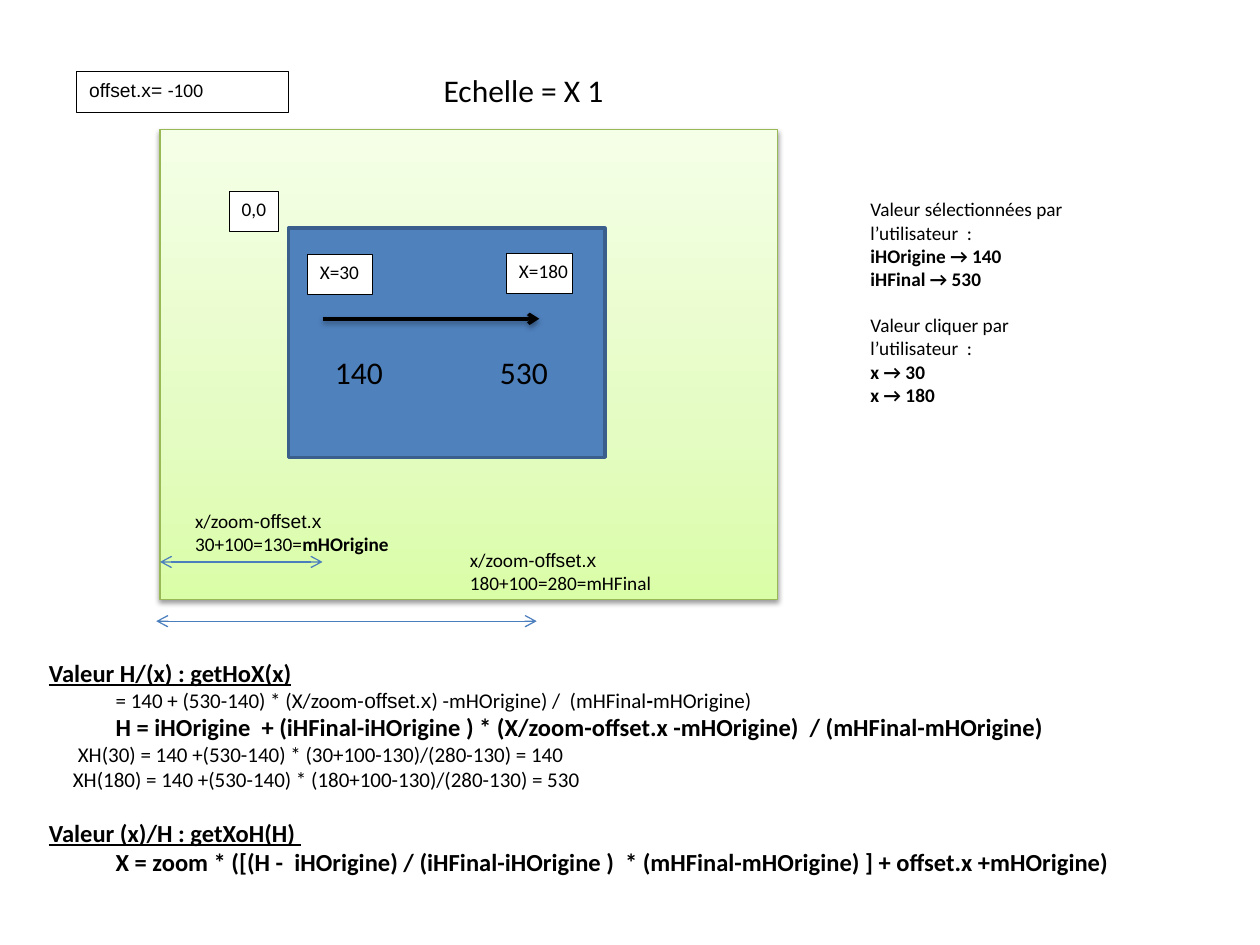
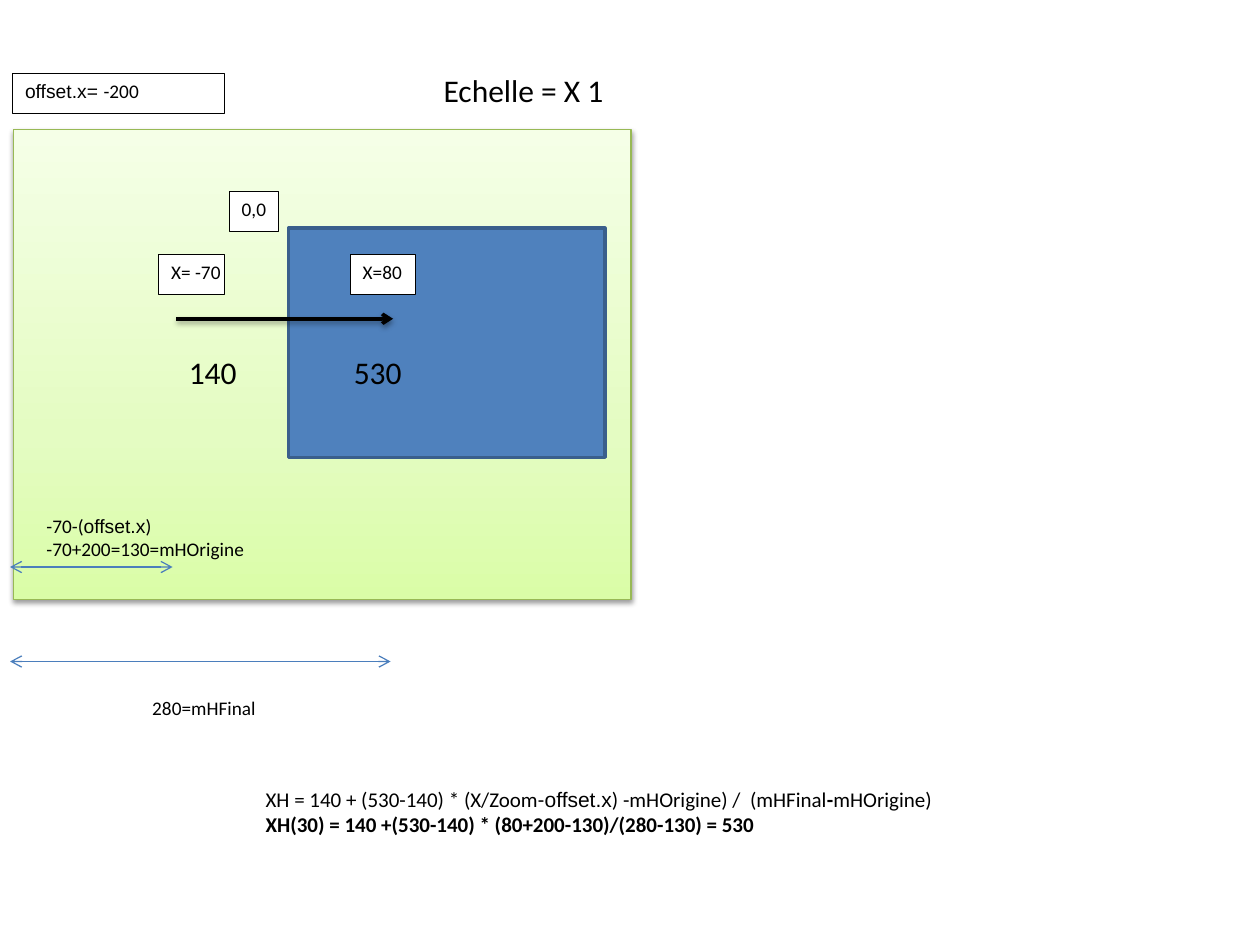
from copy import deepcopy
from dataclasses import dataclass

from lxml.etree import SubElement
from pptx import Presentation
from pptx.dml.color import RGBColor
from pptx.enum.shapes import MSO_CONNECTOR, MSO_SHAPE
from pptx.enum.text import MSO_ANCHOR, MSO_AUTO_SIZE, PP_ALIGN
from pptx.oxml.ns import qn
from pptx.util import Inches, Pt


@dataclass(frozen=True)
class Theme:
    black: str = "000000"
    white: str = "FFFFFF"
    blue: str = "4F81BD"
    blue_edge: str = "3A5F8C"
    measure: str = "4B7EBC"
    green_edge: str = "98B955"
    greens: tuple = ((0, "DAFDA7"), (0.35, "E4FCC2"), (1, "F5FFE7"))
    font: str = "Calibri"
    code_font: str = "Arial"
    title: int = 18
    heading: int = 14
    formula: int = 12
    label: int = 11


THEME = Theme()


@dataclass(frozen=True)
class Line:
    pieces: tuple
    size: int = 0
    bold: bool = False
    underline: bool = False
    indent: float = 0
    before: float = 0


def code(text):
    return text, {"font": THEME.code_font}


def strong(text):
    return text, {"bold": True}


def write_text(frame, lines, size=THEME.label, font=THEME.font, color=THEME.black, wrap=True):
    frame.word_wrap = wrap
    frame.vertical_anchor = MSO_ANCHOR.TOP
    for index, line in enumerate(lines):
        paragraph = frame.add_paragraph() if index else frame.paragraphs[0]
        paragraph.alignment = PP_ALIGN.LEFT
        if line.before:
            paragraph.space_before = Pt(line.before)
        if line.indent:
            paragraph._p.get_or_add_pPr().set("marL", str(Inches(line.indent)))
        for piece in line.pieces:
            text, changes = (piece, {}) if isinstance(piece, str) else piece
            run = paragraph.add_run()
            run.text = text
            run.font.size = Pt(line.size or size)
            run.font.name = changes.get("font", font)
            run.font.bold = changes.get("bold", line.bold)
            run.font.underline = line.underline
            run.font.color.rgb = RGBColor.from_string(color)


def set_effects(shape, shadow):
    effects = SubElement(shape._element.spPr, qn("a:effectLst"))
    if shadow:
        outer = SubElement(effects, qn("a:outerShdw"), blurRad=str(Pt(3.1)),
                           dist=str(Pt(1.6)), dir="5400000", rotWithShape="0")
        color = SubElement(outer, qn("a:srgbClr"), val=THEME.black)
        SubElement(color, qn("a:alpha"), val="38000")


class Diagram:
    def __init__(self, presentation, theme):
        self.presentation = presentation
        self.theme = theme
        self.slide = None

    def start_slide(self, title):
        self.slide = self.presentation.slides.add_slide(self.presentation.slide_layouts[5])
        shape = self.slide.shapes.title
        shape.left, shape.top = Inches(3.42), Inches(0.51)
        shape.width, shape.height = Inches(2.34), Inches(0.4)
        shape.text_frame.auto_size = MSO_AUTO_SIZE.NONE
        write_text(shape.text_frame, [Line((title,))], size=self.theme.title)

    def add_rectangle(self, left, top, width, height, fill, edge, weight, shadow=False):
        shape = self.slide.shapes.add_shape(
            MSO_SHAPE.RECTANGLE, Inches(left), Inches(top), Inches(width), Inches(height))
        if isinstance(fill, str):
            shape.fill.solid()
            shape.fill.fore_color.rgb = RGBColor.from_string(fill)
        else:
            shape.fill.gradient()
            shape.fill.gradient_angle = 90
            stops = shape._element.spPr.find(qn("a:gradFill")).find(qn("a:gsLst"))
            stops.append(deepcopy(stops[0]))
            for stop, (position, color) in zip(shape.fill.gradient_stops, fill):
                stop.position = position
                stop.color.rgb = RGBColor.from_string(color)
        shape.line.color.rgb = RGBColor.from_string(edge)
        shape.line.width = Pt(weight)
        set_effects(shape, shadow)
        return shape

    def add_label(self, left, top, *pieces, width=0.52):
        shape = self.add_rectangle(left, top, width, 0.32, self.theme.white, self.theme.black, 0.5)
        write_text(shape.text_frame, [Line(pieces)], wrap=False)

    def add_text(self, left, top, width, height, *lines, size=THEME.label):
        shape = self.slide.shapes.add_textbox(
            Inches(left), Inches(top), Inches(width), Inches(height))
        shape.text_frame.auto_size = MSO_AUTO_SIZE.SHAPE_TO_FIT_TEXT
        write_text(shape.text_frame, lines, size=size)

    def add_arrow(self, left, top, length, color, weight, ends=("tailEnd",), shadow=False):
        connector = self.slide.shapes.add_connector(
            MSO_CONNECTOR.STRAIGHT, Inches(left), Inches(top), Inches(left + length), Inches(top))
        connector.line.color.rgb = RGBColor.from_string(color)
        connector.line.width = Pt(weight)
        for end in ends:
            SubElement(connector.line._get_or_add_ln(), qn(f"a:{end}"), type="arrow")
        set_effects(connector, shadow)

    def add_measure(self, left, top, length):
        self.add_arrow(left, top, length, self.theme.measure, 0.75, ("headEnd", "tailEnd"))

    def add_scene(self, left):
        theme = self.theme
        self.add_rectangle(left, 1.03, 4.9, 3.73, theme.greens, theme.green_edge, 0.75, shadow=True)
        self.add_rectangle(2.29, 1.81, 2.51, 1.82, theme.blue, theme.blue_edge, 2)
        self.add_label(1.82, 1.52, "0,0", width=0.39)
        self.add_arrow(left + 1.29, 2.53, 1.72, theme.black, 2, shadow=True)
        self.add_text(left + 1.29, 2.75, 1, 0.4, Line(("140",)), size=theme.title)
        self.add_text(left + 2.6, 2.75, 0.83, 0.41, Line(("530",)), size=theme.title)

    def add_offset(self, left, top, value):
        self.add_label(left, top, code("offset.x= "), value, width=1.68)


def general_formula(start, **layout):
    return Line((start, code("offset.x"), ") -mHOrigine) /  (mHFinal", strong("-"), "mHOrigine)"),
                **layout)


def build_first_slide(diagram):
    heading = {"size": THEME.heading, "bold": True}
    diagram.start_slide("Echelle = X 1")
    diagram.add_scene(1.27)
    diagram.add_offset(0.61, 0.57, "-100")
    diagram.add_label(2.44, 2.02, "X=30")
    diagram.add_label(4.02, 2.01, "X=180")
    diagram.add_measure(1.27, 4.46, 1.29)
    diagram.add_measure(1.24, 4.93, 3.02)
    zoom = Line(("x/zoom-", code("offset.x")))
    diagram.add_text(1.45, 3.99, 2.26, 0.49, zoom, Line(("30+100=130=", strong("mHOrigine"))))
    diagram.add_text(3.63, 4.3, 2.35, 0.47, zoom, Line(("180+100=280=mHFinal",)))
    diagram.add_text(
        0.29, 5.17, 8.8, 2.05,
        Line(("Valeur H/(x) : getHoX(x)",), underline=True, **heading),
        general_formula("= 140 + (530-140) * (X/zoom-", indent=0.53),
        Line(("H = iHOrigine  + (iHFinal-iHOrigine ) * (X/zoom-offset.x -mHOrigine)"
              "  / (mHFinal-mHOrigine)",), indent=0.53, **heading),
        Line(("XH(30) = 140 +(530-140) * (30+100-130)/(280-130) = 140",), indent=0.23),
        Line(("XH(180) = 140 +(530-140) * (180+100-130)/(280-130) = 530",), indent=0.19),
        Line(("Valeur (x)/H : getXoH(H) ",), underline=True, before=14.6, **heading),
        Line(("X = zoom * ([(H -  iHOrigine) / (iHFinal-iHOrigine )  * (mHFinal-mHOrigine) ]"
              " + offset.x +mHOrigine)",), indent=0.53, **heading),
        size=THEME.formula)
    diagram.add_text(
        6.81, 1.52, 1.89, 2.14,
        Line(("Valeur sélectionnées par l’utilisateur  :",)),
        Line(("iHOrigine → 140",), bold=True),
        Line(("iHFinal → 530",), bold=True),
        Line(("Valeur cliquer par l’utilisateur  :",), before=13.4),
        Line(("x → 30",), bold=True),
        Line(("x → 180",), bold=True))


def build_second_slide(diagram):
    diagram.start_slide("Echelle = X 1")
    diagram.add_scene(0.11)
    diagram.add_offset(0.1, 0.58, "-200")
    diagram.add_label(2.78, 2.02, "X=80")
    diagram.add_label(1.26, 2.02, "X= -70")
    diagram.add_measure(0.08, 4.5, 1.29)
    diagram.add_measure(0.08, 5.25, 3.02)
    diagram.add_text(0.27, 4.03, 2.02, 0.66,
                     Line(("-70-(", code("offset.x"), ")")),
                     Line(("-70+200=130=mHOrigine",)))
    diagram.add_text(1.11, 5.48, 1.29, 0.47, Line(("280=mHFinal",)))
    diagram.add_text(
        2.01, 6.19, 6.84, 0.5,
        general_formula("XH = 140 + (530-140) * (X/Zoom-"),
        Line(("XH(30) = 140 +(530-140) * (80+200-130)/(280-130) = 530",), bold=True),
        size=THEME.formula)


def main():
    presentation = Presentation()
    presentation.slide_width, presentation.slide_height = Inches(10), Inches(7.5)
    diagram = Diagram(presentation, THEME)
    build_first_slide(diagram)
    build_second_slide(diagram)
    presentation.save("out.pptx")


main()
